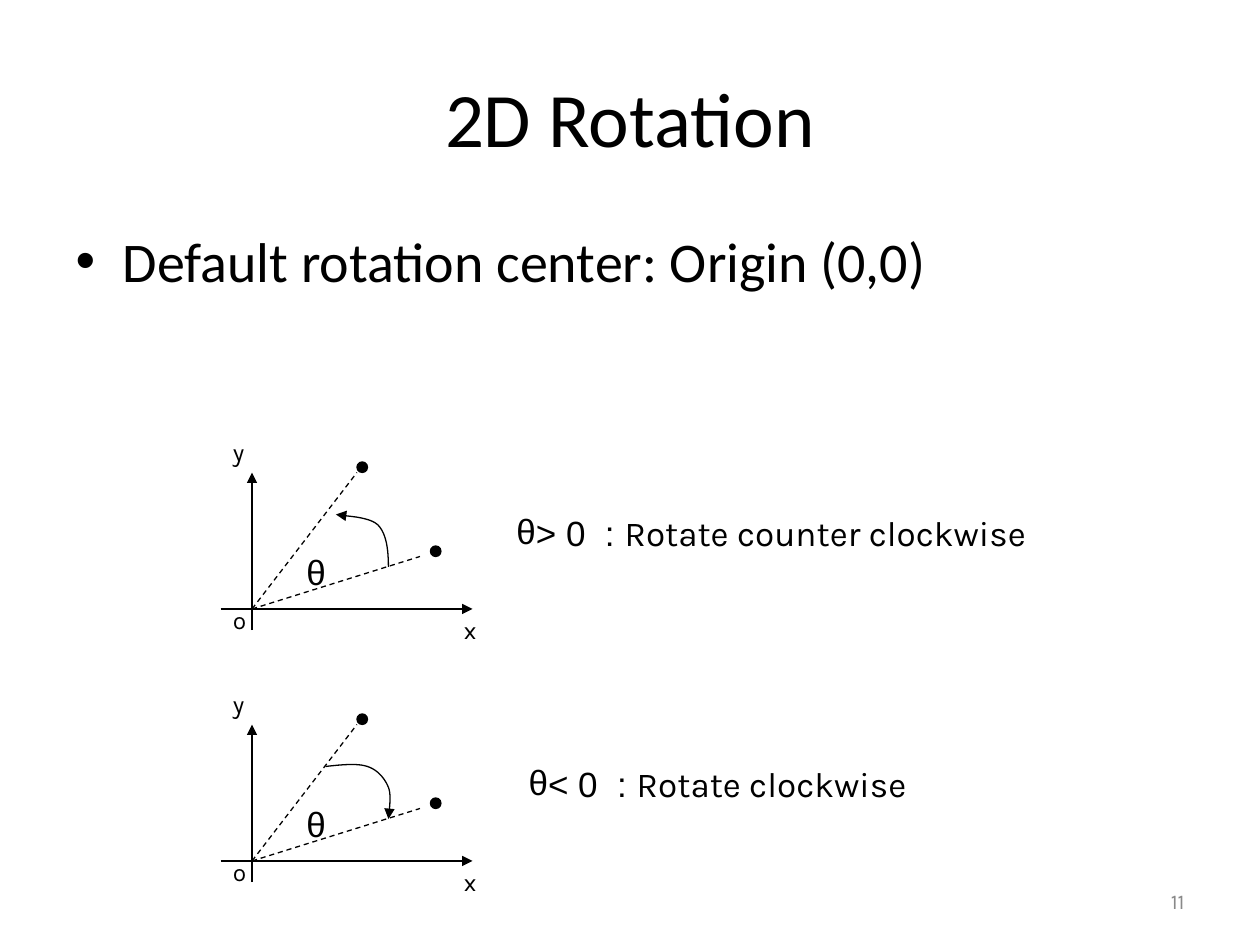
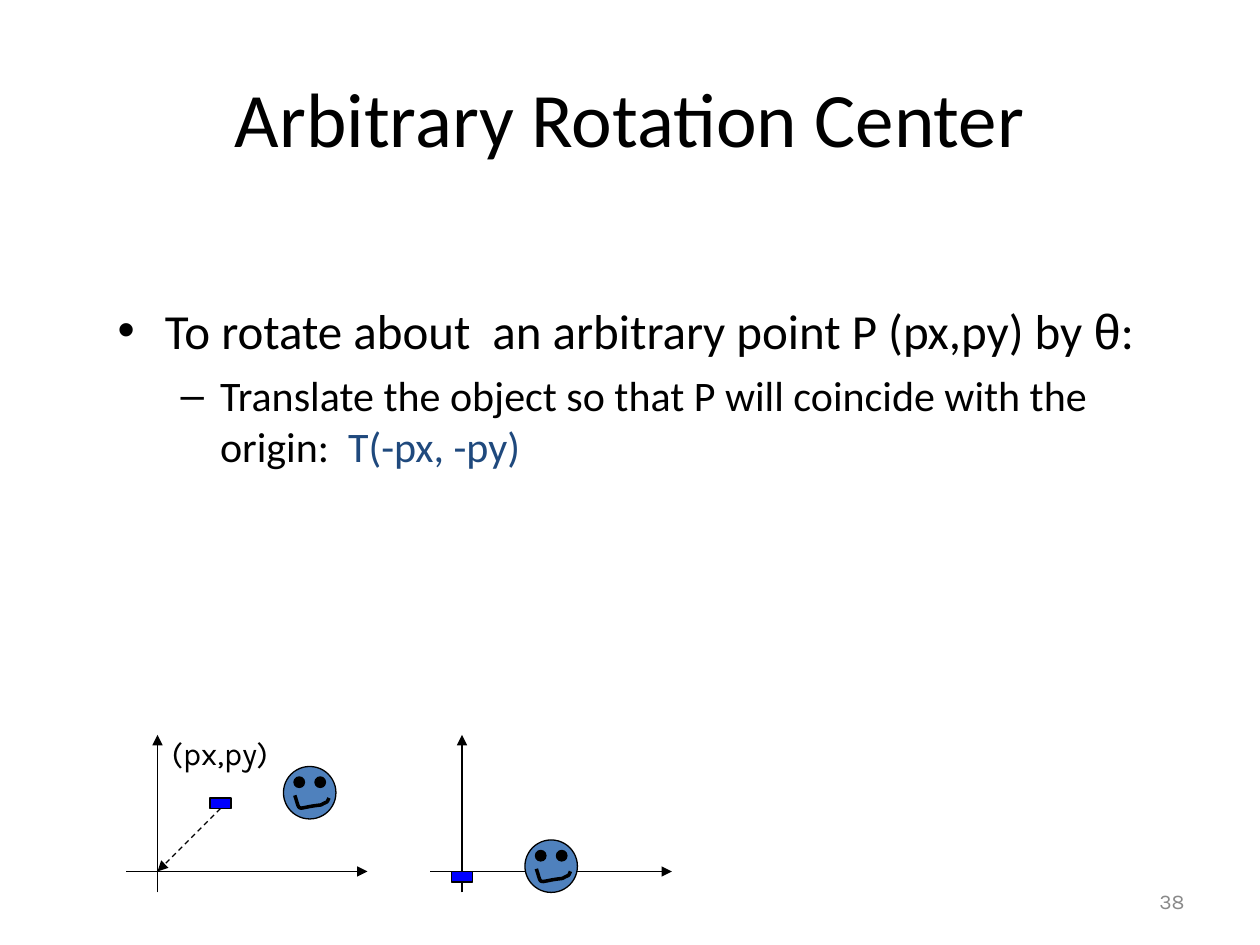
from dataclasses import dataclass
from typing import NamedTuple

from lxml import etree
from pptx import Presentation
from pptx.dml.color import RGBColor
from pptx.enum import dml, shapes, text
from pptx.oxml import ns
from pptx.util import Pt

BLACK = RGBColor(0x00, 0x00, 0x00)
GREY = RGBColor(0x89, 0x89, 0x89)
NAVY = RGBColor(0x1F, 0x49, 0x7D)
FACE_BLUE = RGBColor(0x4F, 0x81, 0xBD)
PIVOT_BLUE = RGBColor(0x00, 0x00, 0xFF)

HEADING_FONT, LABEL_FONT, SYMBOL_FONT = "Calibri", "Karla", "Arial"
THIN = 0.75
DOT = 6
CURVE_STEPS = 12

OVAL = shapes.MSO_SHAPE.OVAL
RECTANGLE = shapes.MSO_SHAPE.RECTANGLE


class Point(NamedTuple):
    x: float
    y: float

    def moved(self, x: float, y: float) -> "Point":
        return Point(self.x + x, self.y + y)


class Box(NamedTuple):
    left: float
    top: float
    width: float
    height: float

    def lengths(self) -> list:
        return [Pt(value) for value in self]


@dataclass
class Run:
    words: str
    size: float
    font: str = HEADING_FONT
    color: RGBColor = BLACK


@dataclass
class Rotation:
    """One rotation sketch; arc holds a start point and three points per curve."""
    drop: float
    arc: list[Point]
    caption_box: Box
    sign: str
    meaning: str


TITLE_BOX = Box(36, 21.6, 648, 90)
NUMBER_BOX = Box(516, 500.4, 168, 28.8)

ROTATIONS = [
    Rotation(0, [Point(222, 324), Point(222, 314.5), Point(221, 305), Point(216, 300),
                 Point(211, 295), Point(196, 295), Point(192, 294)],
             Box(288, 288.5, 330.5, 31.5), "> 0  : ", "Rotate counter clockwise"),
    Rotation(144, [Point(186, 294), Point(195, 293), Point(204, 292), Point(210, 294),
                   Point(216, 296), Point(220, 301), Point(222, 306),
                   Point(224, 311), Point(222, 321), Point(222, 324)],
             Box(295, 432, 252, 31.5), "< 0  : ", "Rotate clockwise"),
]

AXIS_LETTERS = {"x": Point(258, 348), "y": Point(126, 246), "o": Point(126, 342)}

# Smile inside a face, measured from the face's top left corner
SMILE = [Point(6.5, 16.5), Point(10, 27), Point(6.5, 23.5), Point(21.5, 22),
         Point(25.5, 19.5), Point(24.5, 21.5), Point(26, 18)]


# Text
def add_runs(paragraph, runs: list[Run]) -> None:
    for item in runs:
        run = paragraph.add_run()
        run.text = item.words
        run.font.size = Pt(item.size)
        run.font.name = item.font
        run.font.color.rgb = item.color


def add_label(slide, box: Box, runs: list[Run], wrap: bool = False):
    shape = slide.shapes.add_textbox(*box.lengths())
    shape.text_frame.word_wrap = wrap
    paragraph = shape.text_frame.paragraphs[0]
    add_runs(paragraph, runs)
    return paragraph


def add_theta_bullet(paragraph) -> None:
    properties = paragraph._p.get_or_add_pPr()
    properties.set("marL", "0")
    properties.set("indent", "0")
    etree.SubElement(properties, ns.qn("a:buFont")).set("typeface", SYMBOL_FONT)
    etree.SubElement(properties, ns.qn("a:buChar")).set("char", "θ")


def place(placeholder, box: Box) -> None:
    (placeholder.left, placeholder.top,
     placeholder.width, placeholder.height) = box.lengths()
    placeholder.text_frame.auto_size = text.MSO_AUTO_SIZE.NONE


def start_slide(presentation, title: str, number: str, body_box: Box):
    """Add a slide with its title and number; return it with its body text frame."""
    slide = presentation.slides.add_slide(presentation.slide_layouts[1])
    heading, body = slide.shapes.title, slide.placeholders[1]
    place(heading, TITLE_BOX)
    place(body, body_box)
    add_runs(heading.text_frame.paragraphs[0], [Run(title, 44)])
    paragraph = add_label(slide, NUMBER_BOX, [Run(number, 12, LABEL_FONT, GREY)], True)
    paragraph.alignment = text.PP_ALIGN.RIGHT
    paragraph._parent.vertical_anchor = text.MSO_ANCHOR.MIDDLE
    body.text_frame.paragraphs[0].space_before = Pt(0)
    return slide, body.text_frame


# Lines and shapes
def style_line(line, width: float = THIN) -> None:
    line.color.rgb = BLACK
    line.width = Pt(width)


def add_arrowhead(shape) -> None:
    outline = shape.element.spPr.find(ns.qn("a:ln"))
    etree.SubElement(outline, ns.qn("a:tailEnd")).set("type", "triangle")


def add_line(slide, start: Point, end: Point, arrow: bool = False, dashed: bool = False):
    connector = slide.shapes.add_connector(
        shapes.MSO_CONNECTOR.STRAIGHT, *[Pt(value) for value in start + end])
    style_line(connector.line)
    if dashed:
        connector.line.dash_style = dml.MSO_LINE.DASH
    if arrow:
        add_arrowhead(connector)
    etree.SubElement(connector.element.spPr, ns.qn("a:effectLst"))
    return connector


def add_filled(slide, kind, box: Box, color: RGBColor = BLACK):
    shape = slide.shapes.add_shape(kind, *box.lengths())
    shape.shadow.inherit = False
    shape.fill.solid()
    shape.fill.fore_color.rgb = color
    style_line(shape.line)
    return shape


def add_dot(slide, corner: Point) -> None:
    add_filled(slide, OVAL, Box(*corner, DOT, DOT))


def bezier(a: Point, b: Point, c: Point, d: Point, t: float) -> Point:
    s = 1 - t
    weights = (s ** 3, 3 * s * s * t, 3 * s * t * t, t ** 3)
    return Point(sum(w * p.x for w, p in zip(weights, (a, b, c, d))),
                 sum(w * p.y for w, p in zip(weights, (a, b, c, d))))


def add_curve(slide, points: list[Point], width: float = THIN, arrow: bool = False) -> None:
    track = [bezier(*points[i:i + 4], step / CURVE_STEPS)
             for i in range(0, len(points) - 1, 3) for step in range(1, CURVE_STEPS + 1)]
    builder = slide.shapes.build_freeform(Pt(points[0].x), Pt(points[0].y))
    builder.add_line_segments([(Pt(p.x), Pt(p.y)) for p in track], close=False)
    curve = builder.convert_to_shape()
    curve.shadow.inherit = False
    curve.fill.background()
    style_line(curve.line, width)
    if arrow:
        add_arrowhead(curve)


def add_axes(slide, origin: Point, left: float, right: float, up: float, down: float) -> None:
    add_line(slide, origin.moved(-left, 0), origin.moved(right, 0), arrow=True)
    add_line(slide, origin.moved(0, down), origin.moved(0, -up), arrow=True)


# Slide parts
def add_rotation(slide, rotation: Rotation) -> None:
    drop = rotation.drop
    origin = Point(144, 348 + drop)
    add_axes(slide, origin, 18, 126, 78, 12)
    for ray_end, dot in ((Point(240, 318), Point(246, 312)), (Point(204, 270), Point(204, 264))):
        add_line(slide, origin, ray_end.moved(0, drop), dashed=True)
        add_dot(slide, dot.moved(0, drop))
    add_label(slide, Box(168, 311 + drop, 24.5, 31.5), [Run("θ", 20, SYMBOL_FONT)])
    add_curve(slide, [point.moved(0, drop) for point in rotation.arc], arrow=True)
    caption = add_label(slide, rotation.caption_box,
                        [Run(rotation.sign, 20, SYMBOL_FONT),
                         Run(rotation.meaning, 20, LABEL_FONT)])
    add_theta_bullet(caption)
    for letter, corner in AXIS_LETTERS.items():
        add_label(slide, Box(*corner.moved(0, drop), 24, 24.5),
                  [Run(letter, 14, LABEL_FONT)], True)


def add_face(slide, corner: Point) -> None:
    add_filled(slide, OVAL, Box(*corner, 30, 30), FACE_BLUE)
    for eye_x in (6, 18):
        add_dot(slide, corner.moved(eye_x, 6))
    add_curve(slide, [point.moved(*corner) for point in SMILE], 2)


def add_scene(slide, origin: Point, face: Point, pivot: Point):
    """Draw axes, a face and the pivot block; return the pivot block."""
    add_axes(slide, origin, 18, 120, 78, 12)
    add_face(slide, face)
    return add_filled(slide, RECTANGLE, Box(*pivot, 12, 6), PIVOT_BLUE)


def build_rotation_slide(presentation) -> None:
    slide, body = start_slide(presentation, "2D Rotation", "11", Box(36, 126, 648, 356.4))
    add_runs(body.paragraphs[0], [Run("Default rotation center: Origin (0,0)", 32)])
    for rotation in ROTATIONS:
        add_rotation(slide, rotation)


def build_center_slide(presentation) -> None:
    slide, body = start_slide(presentation, "Arbitrary Rotation Center", "38",
                              Box(60, 168, 612, 324))
    add_runs(body.paragraphs[0], [
        Run("To rotate about  an arbitrary point P (px,py) by ", 28),
        Run("θ", 28, SYMBOL_FONT), Run(":", 28)])
    step = body.add_paragraph()
    step.level = 1
    step.space_before = Pt(6)
    add_runs(step, [
        Run("Translate the object so that P will coincide with the origin:  ", 24),
        Run("T(-px, -py)", 24, color=NAVY)])

    # After and before the translation
    add_scene(slide, Point(264, 498), Point(300, 480), Point(258, 498))
    origin = Point(90, 498)
    pivot = add_scene(slide, origin, Point(162, 438), Point(120, 456))
    add_label(slide, Box(91, 416, 70.5, 29), [Run("(px,py)", 18, LABEL_FONT)])
    shift = add_line(slide, Point(126, 462), origin, arrow=True, dashed=True)
    shift.begin_connect(pivot, 2)


def main() -> None:
    presentation = Presentation()
    presentation.slide_width, presentation.slide_height = Pt(720), Pt(540)
    build_rotation_slide(presentation)
    build_center_slide(presentation)
    presentation.save("out.pptx")


if __name__ == "__main__":
    main()
